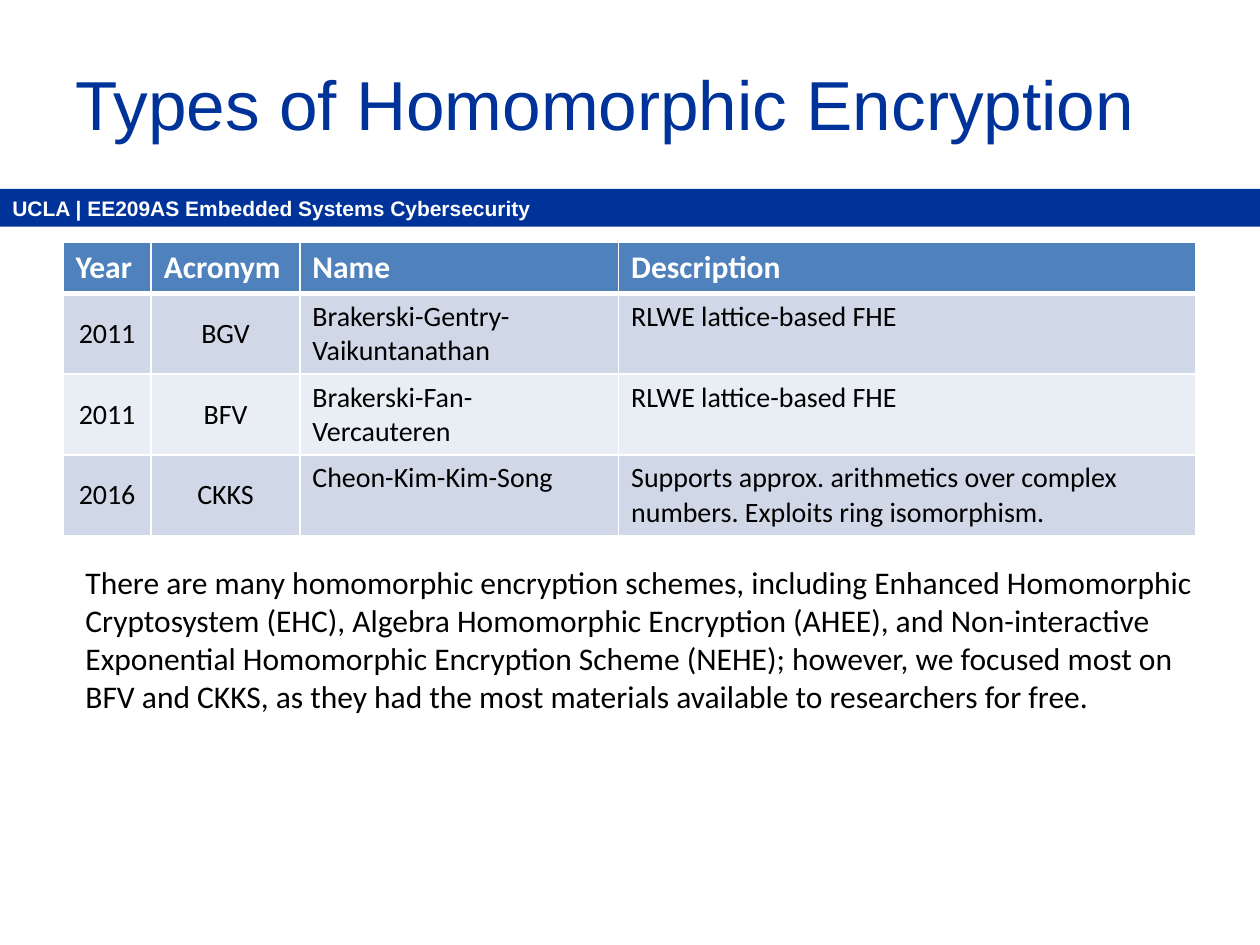
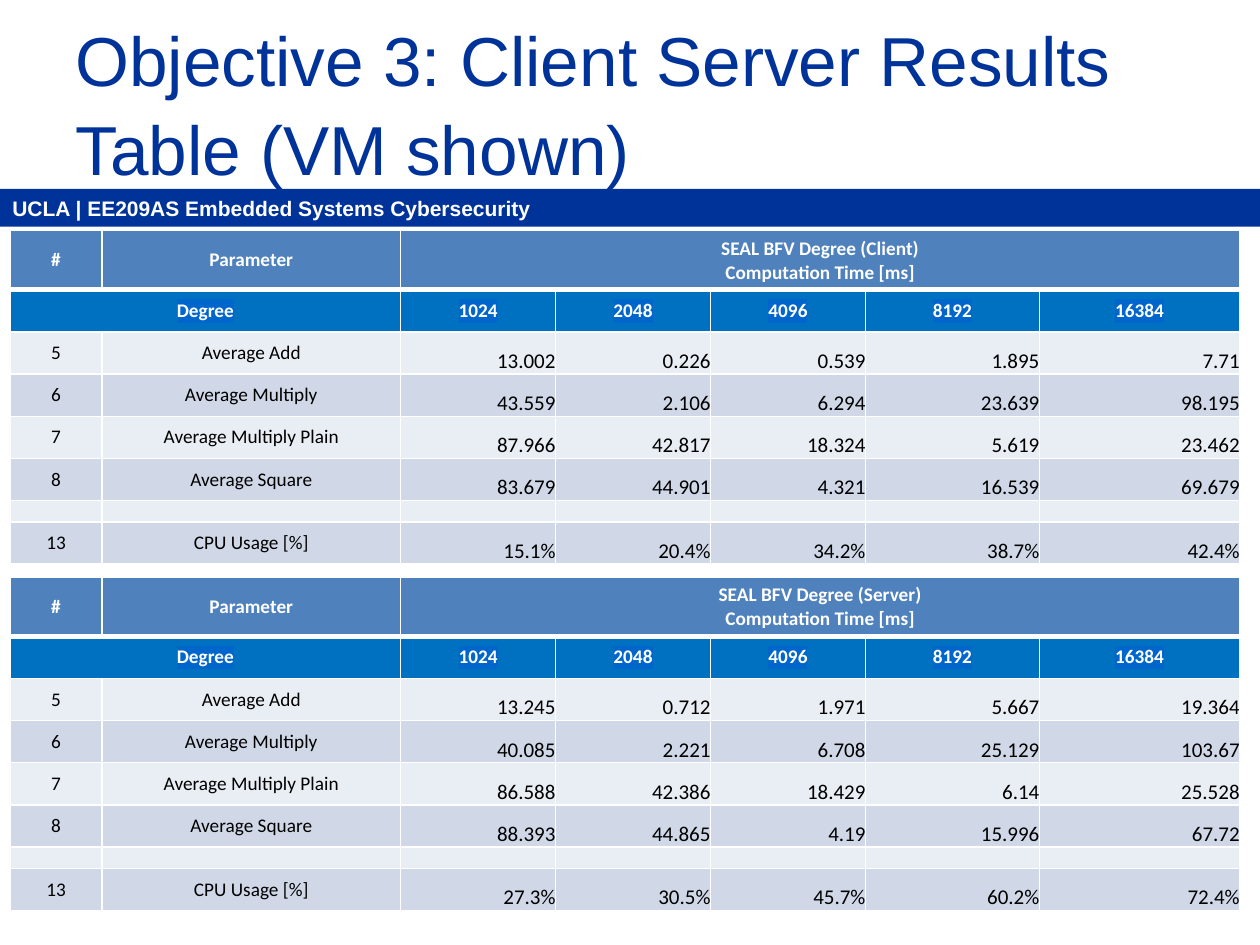
from dataclasses import dataclass

from lxml.etree import SubElement
from pptx import Presentation
from pptx.dml.color import RGBColor as RGB
from pptx.enum.shapes import MSO_SHAPE
from pptx.enum.text import MSO_ANCHOR as ANCHOR, PP_ALIGN as ALIGN
from pptx.oxml import parse_xml
from pptx.oxml.ns import nsdecls, qn
from pptx.util import Inches, Pt


@dataclass(frozen=True)
class Theme:
    navy: str = "003399"
    header: str = "4F81BD"
    degree: str = "0070C0"
    highlight: str = "0066CC"
    band_dark: str = "D0D8E8"
    band_light: str = "E9EDF4"
    white: str = "FFFFFF"
    black: str = "000000"
    title_font: str = "Arial"
    body_font: str = "Calibri"
    title_size: float = 39.6
    band_size: int = 12
    body_size: int = 18
    scheme_size: int = 16
    label_size: int = 11
    value_size: int = 12
    spacer_size: int = 9


@dataclass(frozen=True)
class CellStyle:
    size: float
    fill: str
    color: str = "000000"
    bold: bool = False
    align: ALIGN = ALIGN.LEFT
    anchor: ANCHOR = ANCHOR.TOP
    flush: bool = False
    highlight: str = ""


THEME = Theme()
COURSE = "UCLA | EE209AS Embedded Systems Cybersecurity"

SCHEME_COLS = [0.7, 1.18, 2.53, 4.58]
SCHEMES = [
    ["Year", "Acronym", "Name", "Description"],
    ["2011", "BGV", "Brakerski-Gentry-Vaikuntanathan", "RLWE lattice-based FHE"],
    ["2011", "BFV", "Brakerski-Fan-Vercauteren", "RLWE lattice-based FHE"],
    ["2016", "CKKS", "Cheon-Kim-Kim-Song",
     "Supports approx. arithmetics over complex numbers. Exploits ring isomorphism."],
]
SCHEME_NOTE = (
    "There are many homomorphic encryption schemes, including Enhanced Homomorphic "
    "Cryptosystem (EHC), Algebra Homomorphic Encryption (AHEE), and Non-interactive "
    "Exponential Homomorphic Encryption Scheme (NEHE); however, we focused most on BFV "
    "and CKKS, as they had the most materials available to researchers for free."
)

RESULT_COLS = [0.73, 2.37, 1.23, 1.23, 1.23, 1.38, 1.59]
RESULT_HEIGHT, HEAD_HEIGHT, SPACER_HEIGHT = 2.65, 0.47, 0.17
DEGREES = ["1024", "2048", "4096", "8192", "16384"]
PARAMETERS = [
    ("5", "Average Add"),
    ("6", "Average Multiply"),
    ("7", "Average Multiply Plain"),
    ("8", "Average Square"),
    ("", ""),
    ("13", "CPU Usage [%]"),
]
NO_VALUES = [""] * len(DEGREES)
RESULTS = {
    "Client": [
        ["13.002", "0.226", "0.539", "1.895", "7.71"],
        ["43.559", "2.106", "6.294", "23.639", "98.195"],
        ["87.966", "42.817", "18.324", "5.619", "23.462"],
        ["83.679", "44.901", "4.321", "16.539", "69.679"],
        NO_VALUES,
        ["15.1%", "20.4%", "34.2%", "38.7%", "42.4%"],
    ],
    "Server": [
        ["13.245", "0.712", "1.971", "5.667", "19.364"],
        ["40.085", "2.221", "6.708", "25.129", "103.67"],
        ["86.588", "42.386", "18.429", "6.14", "25.528"],
        ["88.393", "44.865", "4.19", "15.996", "67.72"],
        NO_VALUES,
        ["27.3%", "30.5%", "45.7%", "60.2%", "72.4%"],
    ],
}


class Deck:
    def __init__(self, theme):
        self.theme = theme
        self.prs = Presentation()
        self.prs.slide_width, self.prs.slide_height = Inches(10), Inches(7.5)
        self.s = None

    def slide(self, title):
        """Start a slide with the course band and its title."""
        t = self.theme
        self.s = self.prs.slides.add_slide(self.prs.slide_layouts[6])
        self.band(COURSE)
        tf = self.text(title, 0.5, 0.17, 9, 1.25, t.title_size, t.title_font, t.navy)
        tf.vertical_anchor = ANCHOR.MIDDLE
        tf.paragraphs[0].line_spacing = 1.07

    def format_runs(self, tf, size, font, color, bold=False, align=ALIGN.LEFT):
        for p in tf.paragraphs:
            p.alignment = align
            for r in p.runs:
                r.font.size, r.font.name, r.font.bold = Pt(size), font, bold
                r.font.color.rgb = RGB.from_string(color)

    def band(self, text):
        t = self.theme
        sp = self.s.shapes.add_shape(
            MSO_SHAPE.RECTANGLE, 0, Inches(1.5), self.prs.slide_width, Inches(0.3))
        sp.shadow.inherit = False
        sp.fill.solid()
        sp.fill.fore_color.rgb = RGB.from_string(t.navy)
        sp.line.fill.background()
        sp.text_frame.text = text
        self.format_runs(sp.text_frame, t.band_size, t.title_font, t.white, bold=True)

    def text(self, text, left, top, width, height, size, font, color):
        box = self.s.shapes.add_textbox(*map(Inches, (left, top, width, height)))
        tf = box.text_frame
        tf.word_wrap = True
        tf.text = text
        self.format_runs(tf, size, font, color)
        return tf

    def table(self, left, top, col_widths, row_heights, rows, style_of):
        """Add a table; style_of(row, col) gives the CellStyle of each cell."""
        frame = self.s.shapes.add_table(
            len(rows), len(col_widths), Inches(left), Inches(top),
            Inches(sum(col_widths)), Inches(sum(row_heights)))
        table = frame.table
        table.first_row = table.horz_banding = False
        for column, width in zip(table.columns, col_widths):
            column.width = Inches(width)
        for row, height in zip(table.rows, row_heights):
            row.height = Inches(height)
        for i, texts in enumerate(rows):
            for j, text in enumerate(texts):
                self.cell(table.cell(i, j), text, style_of(i, j))
                self.borders(table.cell(i, j), top=3 if i == 1 else 1,
                             bottom=3 if i == 0 else 1)
        return table

    def cell(self, cell, text, style):
        tf = cell.text_frame
        tf.text = text
        cell.vertical_anchor = style.anchor
        if style.flush:
            cell.margin_left = cell.margin_right = cell.margin_top = cell.margin_bottom = 0
        cell.fill.solid()
        cell.fill.fore_color.rgb = RGB.from_string(style.fill)
        self.format_runs(tf, style.size, self.theme.body_font, style.color,
                         style.bold, style.align)
        if not text:
            end = SubElement(tf.paragraphs[0]._p, qn("a:endParaRPr"))
            end.set("sz", str(style.size * 100))
        if style.highlight:
            for r in tf.paragraphs[0].runs:
                r._r.rPr.find(qn("a:solidFill")).addnext(parse_xml(
                    f'<a:highlight {nsdecls("a")}>'
                    f'<a:srgbClr val="{style.highlight}"/></a:highlight>'))

    def borders(self, cell, top, bottom):
        tc_pr = cell._tc.get_or_add_tcPr()
        sides = {"lnL": 1, "lnR": 1, "lnT": top, "lnB": bottom}
        for i, (side, width) in enumerate(sides.items()):
            tc_pr.insert(i, parse_xml(
                f'<a:{side} {nsdecls("a")} w="{Pt(width)}"><a:solidFill>'
                f'<a:srgbClr val="{self.theme.white}"/></a:solidFill></a:{side}>'))


def scheme_style(row, col):
    t = THEME
    if row == 0:
        return CellStyle(t.body_size, t.header, t.white, bold=True)
    fill = t.band_dark if row % 2 else t.band_light
    if col < 2:
        return CellStyle(t.scheme_size, fill, align=ALIGN.CENTER, anchor=ANCHOR.MIDDLE)
    return CellStyle(t.scheme_size, fill)


def result_style(row, col):
    t = THEME
    centred = {"align": ALIGN.CENTER, "anchor": ANCHOR.MIDDLE}
    if row == 0:
        return CellStyle(t.label_size, t.header, t.white, bold=True, **centred)
    if row == 1:
        return CellStyle(t.label_size, t.degree, t.white, bold=True,
                         highlight=t.highlight, **centred)
    fill = t.band_dark if row % 2 else t.band_light
    if not PARAMETERS[row - 2][0]:
        return CellStyle(t.spacer_size, fill, flush=True)
    if col < 2:
        return CellStyle(t.label_size, fill, **centred)
    return CellStyle(t.value_size, fill, align=ALIGN.RIGHT, anchor=ANCHOR.BOTTOM, flush=True)


def result_table(deck, side, top):
    heading = f"SEAL BFV Degree ({side})\nComputation Time [ms]"
    rows = [["#", "Parameter", heading, "", "", "", ""], ["Degree", "", *DEGREES]]
    rows += [[*label, *values] for label, values in zip(PARAMETERS, RESULTS[side])]
    row_height = (RESULT_HEIGHT - HEAD_HEIGHT - SPACER_HEIGHT) / (len(rows) - 2)
    heights = [HEAD_HEIGHT, row_height]
    heights += [row_height if number else SPACER_HEIGHT for number, _ in PARAMETERS]
    table = deck.table(0.08, top, RESULT_COLS, heights, rows, result_style)
    table.cell(0, 2).merge(table.cell(0, 6))
    table.cell(1, 0).merge(table.cell(1, 1))


def main():
    deck = Deck(THEME)

    deck.slide("Types of Homomorphic Encryption")
    deck.table(0.5, 1.92, SCHEME_COLS, [0.41] + [0.64] * 3, SCHEMES, scheme_style)
    deck.text(SCHEME_NOTE, 0.58, 4.42, 9, 1.62,
              THEME.body_size, THEME.body_font, THEME.black)

    deck.slide("Objective 3: Client Server Results Table (VM shown)")
    for side, top in (("Client", 1.83), ("Server", 4.58)):
        result_table(deck, side, top)

    deck.prs.save("out.pptx")


if __name__ == "__main__":
    main()
